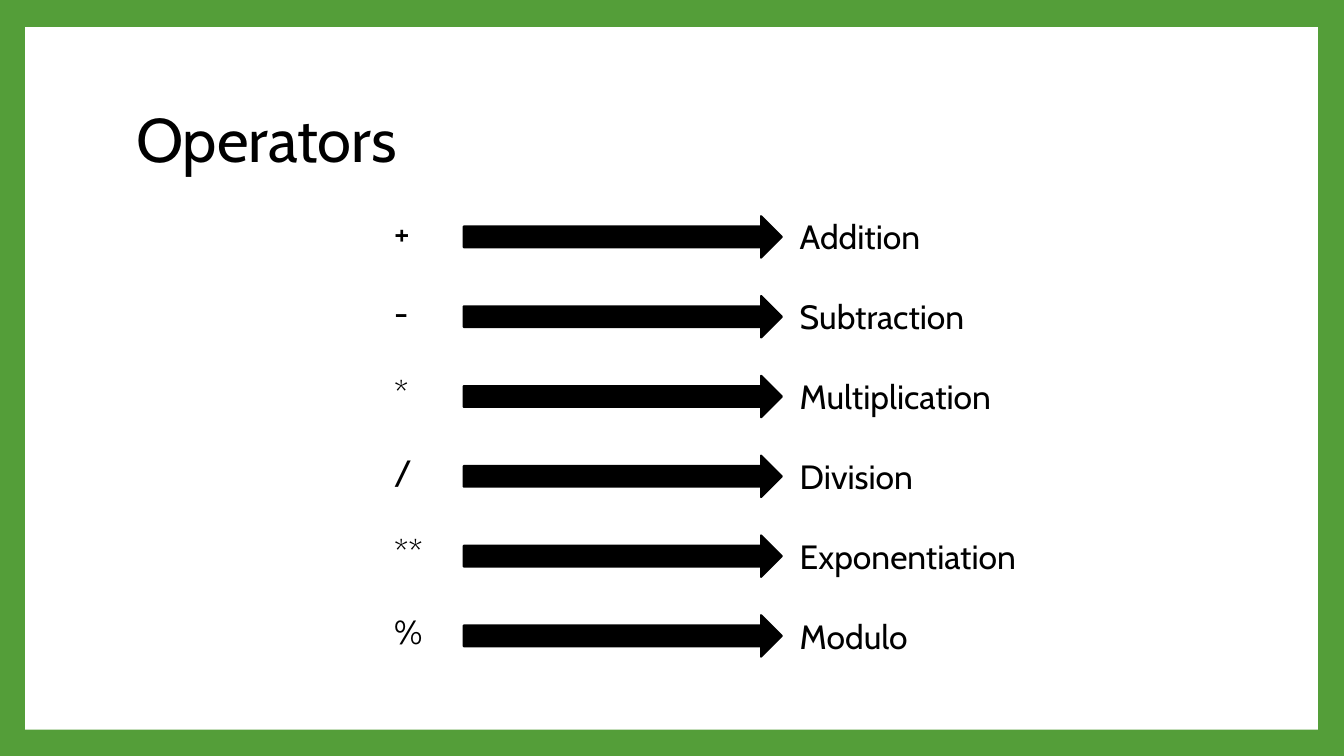
from dataclasses import dataclass

from pptx import Presentation
from pptx.dml.color import RGBColor
from pptx.enum.shapes import MSO_SHAPE as Shape
from pptx.enum.text import MSO_ANCHOR as Anchor, MSO_AUTO_SIZE as AutoSize, PP_ALIGN as Align
from pptx.util import Inches, Pt


@dataclass(frozen=True)
class Theme:
    font: str = "Cabin"
    frame: RGBColor = RGBColor(0x54, 0x9E, 0x39)
    panel: RGBColor = RGBColor(0xFF, 0xFF, 0xFF)
    ink: RGBColor = RGBColor(0, 0, 0)
    title_size: float = 44
    body_size: float = 24
    row_gap: float = 28.3
    arrow_line: float = 1.5


@dataclass(frozen=True)
class Box:
    left: float
    top: float
    width: float
    height: float

    def place(self):
        return [Inches(n) for n in (self.left, self.top, self.width, self.height)]

    def share(self, left, top, width, height):
        """Return a box given as shares of this one."""
        return Box(self.left + left * self.width, self.top + top * self.height,
                   width * self.width, height * self.height)


THEME = Theme()
PAGE = Box(0, 0, 13.33, 7.5)
PANEL = Box(0.25, 0.27, 12.82, 6.97)
TITLE = Box(1.25, 0.67, 10.8, 1.48)
OPERATORS = Box(3.81, 2.05, 7.89, 4.75)
MEANINGS = {
    "+": "Addition",
    "-": "Subtraction",
    "*": "Multiplication",
    "/": "Division",
    "**": "Exponentiation",
    "%": "Modulo",
}


def style_runs(para, size):
    for span in para.runs:
        span.font.name = THEME.font
        span.font.size = Pt(size)
        span.font.color.rgb = THEME.ink


def add_panel(page, box):
    """Green frame around a white panel, behind everything else."""
    page.background.fill.solid()
    page.background.fill.fore_color.rgb = THEME.frame
    panel = page.shapes.add_shape(Shape.RECTANGLE, *box.place())
    panel.shadow.inherit = False
    panel.fill.solid()
    panel.fill.fore_color.rgb = THEME.panel
    panel.line.fill.background()
    page.shapes.title.element.addprevious(panel.element)


def add_title(page, box, words):
    """Title placeholder, moved and set to the left."""
    title = page.shapes.title
    title.left, title.top, title.width, title.height = box.place()
    frame = title.text_frame
    frame.text = words
    frame.auto_size = AutoSize.NONE
    frame.vertical_anchor = Anchor.MIDDLE
    para = frame.paragraphs[0]
    para.alignment = Align.LEFT
    para.line_spacing = 0.9
    style_runs(para, THEME.title_size)


def add_column(page, box, words):
    """One text column, its rows spread by paragraph spacing."""
    frame = page.shapes.add_textbox(*box.place()).text_frame
    frame.word_wrap = True
    frame.text = "\n".join(words)
    for para in frame.paragraphs:
        para.space_after = Pt(THEME.row_gap)
        style_runs(para, THEME.body_size)


def add_arrow(page, box):
    """Solid arrow from a symbol to its meaning."""
    arrow = page.shapes.add_shape(Shape.RIGHT_ARROW, *box.place())
    arrow.shadow.inherit = False
    arrow.fill.solid()
    arrow.fill.fore_color.rgb = THEME.ink
    arrow.line.color.rgb = THEME.ink
    arrow.line.width = Pt(THEME.arrow_line)


def add_operators(page, box, meanings):
    """Symbols on the left, an arrow per row, meanings on the right."""
    add_column(page, box.share(0, 0, 0.1, 0.96), meanings.keys())
    add_column(page, box.share(0.51, 0.01, 0.49, 0.96), meanings.values())
    row = 1 / len(meanings)
    for index in range(len(meanings)):
        add_arrow(page, box.share(0.1, 0.02 + index * row, 0.4, 0.52 * row))


def main():
    deck = Presentation()
    deck.slide_width, deck.slide_height = PAGE.place()[2:]
    page = deck.slides.add_slide(deck.slide_layouts.get_by_name("Title Only"))
    add_panel(page, PANEL)
    add_title(page, TITLE, "Operators")
    add_operators(page, OPERATORS, MEANINGS)
    deck.save("out.pptx")


if __name__ == "__main__":
    main()
